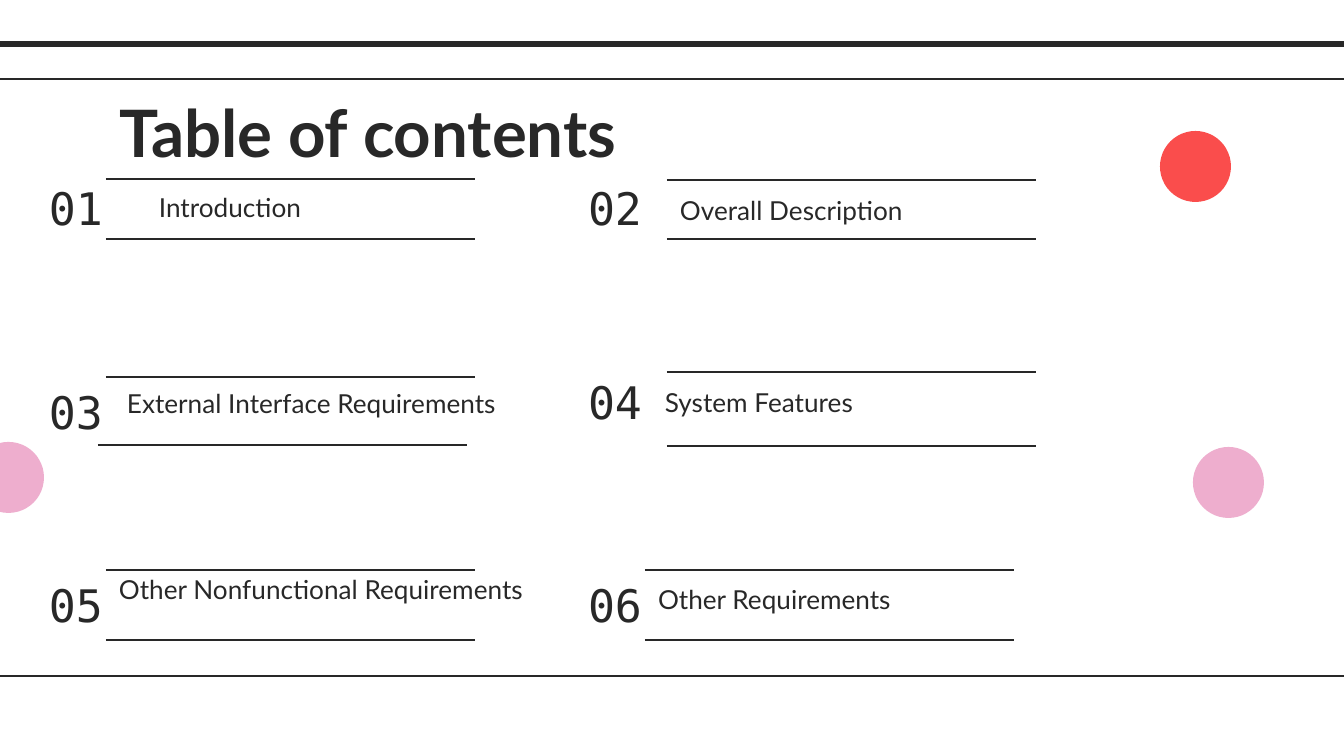
from dataclasses import dataclass

from lxml import etree
from pptx import Presentation
from pptx.dml.color import RGBColor
from pptx.enum.shapes import MSO_CONNECTOR, MSO_SHAPE
from pptx.enum.text import MSO_ANCHOR, MSO_AUTO_SIZE, PP_ALIGN
from pptx.oxml.ns import qn
from pptx.shapes.base import BaseShape
from pptx.slide import Slide
from pptx.util import Emu, Pt

STRAIGHT = MSO_CONNECTOR.STRAIGHT
OVAL = MSO_SHAPE.OVAL
TOP, MIDDLE = MSO_ANCHOR.TOP, MSO_ANCHOR.MIDDLE
FIXED_SIZE = MSO_AUTO_SIZE.NONE
LEFT = PP_ALIGN.LEFT

EMU_PER_PX = 914400 / 134.4
SLIDE_WIDTH, SLIDE_HEIGHT = 1344, 756
INK, PINK, RED = "282828", "EEAECE", "FA4D4C"
TEXT_FONT, NUMBER_FONT = "Lato", "DejaVu Sans Mono"
INSET = 13
NUMBER_LEFTS = (36, 575)
NUMBER_WIDTH, NUMBER_HEIGHT = 148, 71
RULE_WIDTH = 369
DOT_SIZE = 71


@dataclass(frozen=True)
class Box:
    left: int
    top: int
    width: int
    height: int


@dataclass(frozen=True)
class Rule:
    left: int
    top: int
    width: int = RULE_WIDTH
    weight: float = 0.75


@dataclass(frozen=True)
class Dot:
    left: int
    top: int
    color: str


@dataclass(frozen=True)
class Entry:
    label: str
    label_box: Box
    number_top: int
    rules: tuple[Rule, Rule]
    anchor: MSO_ANCHOR = MIDDLE


FRAME_RULES = (
    Rule(0, 44, SLIDE_WIDTH, 3),
    Rule(0, 79, SLIDE_WIDTH),
    Rule(0, 676, SLIDE_WIDTH),
)
DOTS = (Dot(-27, 442, PINK), Dot(1193, 447, PINK), Dot(1160, 131, RED))
ENTRIES = (
    Entry("Introduction", Box(146, 177, 396, 60), 172,
          (Rule(106, 179), Rule(106, 239))),
    Entry("Overall Description", Box(667, 180, 400, 60), 172,
          (Rule(667, 180), Rule(667, 239))),
    Entry("External Interface Requirements", Box(114, 374, 470, 59), 376,
          (Rule(106, 377), Rule(98, 445)), TOP),
    Entry("System Features", Box(652, 372, 400, 60), 366,
          (Rule(667, 372), Rule(667, 446))),
    Entry("Other Nonfunctional Requirements", Box(106, 560, 452, 90), 569,
          (Rule(106, 570), Rule(106, 640)), TOP),
    Entry("Other Requirements", Box(645, 570, 370, 59), 569,
          (Rule(645, 570), Rule(645, 640)), TOP),
)


def px(length: int) -> Emu:
    return Emu(round(length * EMU_PER_PX))


def rgb(color: str) -> RGBColor:
    return RGBColor.from_string(color)


def place(shape: BaseShape, box: Box) -> None:
    shape.left, shape.top = px(box.left), px(box.top)
    shape.width, shape.height = px(box.width), px(box.height)


def write_text(shape: BaseShape, text: str, *, size: float, font: str = TEXT_FONT,
               bold: bool = False, anchor: MSO_ANCHOR = TOP) -> None:
    frame = shape.text_frame
    frame.word_wrap = True
    frame.auto_size = FIXED_SIZE
    frame.vertical_anchor = anchor
    frame.margin_left = frame.margin_right = px(INSET)
    frame.margin_top = frame.margin_bottom = px(INSET)
    para = frame.paragraphs[0]
    para.alignment = LEFT
    span = para.add_run()
    span.text = text
    span.font.name = font
    span.font.size = Pt(size)
    span.font.bold = bold
    span.font.color.rgb = rgb(INK)


def add_text_box(slide: Slide, box: Box) -> BaseShape:
    return slide.shapes.add_textbox(
        px(box.left), px(box.top), px(box.width), px(box.height))


def draw_rule(slide: Slide, rule: Rule) -> None:
    line = slide.shapes.add_connector(
        STRAIGHT, px(rule.left), px(rule.top),
        px(rule.left + rule.width), px(rule.top))
    line.line.color.rgb = rgb(INK)
    line.line.width = Pt(rule.weight)
    etree.SubElement(line.element.spPr, qn("a:effectLst"))


def draw_dot(slide: Slide, dot: Dot) -> None:
    circle = slide.shapes.add_shape(
        OVAL, px(dot.left), px(dot.top), px(DOT_SIZE), px(DOT_SIZE))
    circle.shadow.inherit = False
    circle.fill.solid()
    circle.fill.fore_color.rgb = rgb(dot.color)
    circle.line.fill.background()


def draw_entry(slide: Slide, index: int, entry: Entry) -> None:
    number_box = Box(NUMBER_LEFTS[index % 2], entry.number_top,
                     NUMBER_WIDTH, NUMBER_HEIGHT)
    write_text(add_text_box(slide, number_box), f"{index + 1:02}",
               size=24, font=NUMBER_FONT, anchor=MIDDLE)
    write_text(add_text_box(slide, entry.label_box), entry.label,
               size=14, anchor=entry.anchor)
    for rule in entry.rules:
        draw_rule(slide, rule)


def main() -> None:
    deck = Presentation()
    deck.slide_width, deck.slide_height = px(SLIDE_WIDTH), px(SLIDE_HEIGHT)
    page = deck.slides.add_slide(deck.slide_layouts.get_by_name("Title Only"))
    for rule in FRAME_RULES:
        draw_rule(page, rule)
    for dot in DOTS:
        draw_dot(page, dot)
    title = page.shapes.title
    place(title, Box(106, 79, 1133, 85))
    write_text(title, "Table of contents", size=35, bold=True)
    for index, entry in enumerate(ENTRIES):
        draw_entry(page, index, entry)
    deck.save("out.pptx")


if __name__ == "__main__":
    main()
